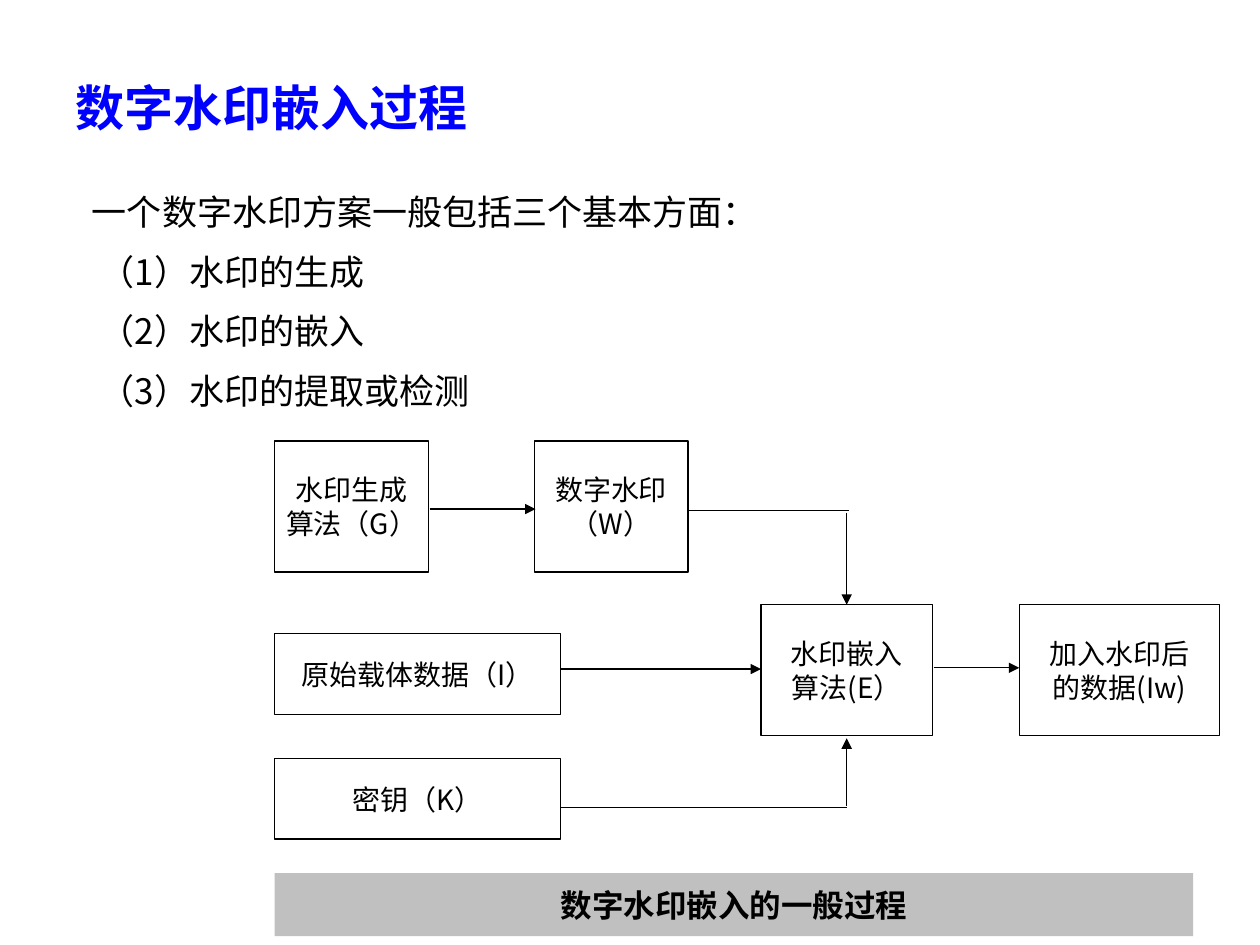
from lxml import etree
from pptx import Presentation
from pptx.dml.color import RGBColor
from pptx.enum.shapes import MSO_CONNECTOR, MSO_SHAPE
from pptx.enum.text import MSO_ANCHOR, MSO_AUTO_SIZE, PP_ALIGN
from pptx.oxml.ns import qn
from pptx.util import Inches, Pt

RECTANGLE = MSO_SHAPE.RECTANGLE
STRAIGHT = MSO_CONNECTOR.STRAIGHT
LEFT, CENTER = PP_ALIGN.LEFT, PP_ALIGN.CENTER
TOP, MIDDLE = MSO_ANCHOR.TOP, MSO_ANCHOR.MIDDLE
NO_AUTOFIT = MSO_AUTO_SIZE.NONE

BLACK = RGBColor(0, 0, 0)
WHITE = RGBColor(255, 255, 255)
BLUE = RGBColor(0, 0, 255)
GRAY = RGBColor(0xC0, 0xC0, 0xC0)
CJK_FONT = "Noto Sans CJK SC"
CAPTION_FONT = "Noto Sans"

# Content
TITLE = "数字水印嵌入过程"
BODY = [  # text, indent
    ("一个数字水印方案一般包括三个基本方面：", 0.06),
    ("（1）水印的生成", 0.12),
    ("（2）水印的嵌入", 0.12),
    ("（3）水印的提取或检测", 0.12),
]
CAPTION = "数字水印嵌入的一般过程"

LEFT_EDGE, TOP_ROW, EMBED_ROW = 2.18, 3.5, 4.8
TALL, LOW = 1.04, 0.64
BOXES = [  # text, left, top, width, height
    ("水印生成\n算法（G）", LEFT_EDGE, TOP_ROW, 1.22, TALL),
    ("数字水印\n（W）", 4.24, TOP_ROW, 1.22, TALL),
    ("原始载体数据（I）", LEFT_EDGE, 5.03, 2.27, LOW),
    ("密钥（K）", LEFT_EDGE, 6.02, 2.27, LOW),
    ("水印嵌入\n算法(E）", 6.04, EMBED_ROW, 1.36, TALL),
    ("加入水印后\n的数据(Iw)", 8.09, EMBED_ROW, 1.59, TALL),
]
EMBED_X = 6.72
LINES = [  # start, end, has arrowhead
    ((3.41, 4.04), (4.25, 4.04), True),
    ((4.45, 5.31), (6.04, 5.31), True),
    ((7.41, 5.3), (8.09, 5.3), True),
    ((5.46, 4.05), (6.74, 4.05), False),
    ((EMBED_X, 4.07), (EMBED_X, EMBED_ROW), True),
    ((4.45, 6.41), (EMBED_X, 6.41), False),
    ((EMBED_X, 6.4), (EMBED_X, 5.86), True),
]


def place(shape, left, top, width, height):
    shape.left, shape.top = Inches(left), Inches(top)
    shape.width, shape.height = Inches(width), Inches(height)


def format_text(frame, size, color=BLACK, bold=False, align=CENTER,
                font=CJK_FONT, spacing=None):
    for para in frame.paragraphs:
        para.alignment = align
        if spacing:
            para.line_spacing = spacing
        for span in para.runs:
            span.font.size = Pt(size)
            span.font.bold = bold
            span.font.color.rgb = color
            span.font.name = font
            east_asian = etree.SubElement(span.font._element, qn("a:ea"))
            east_asian.set("typeface", font)


def add_box(text, left, top, width, height, fill):
    box = slide.shapes.add_shape(RECTANGLE, Inches(left), Inches(top),
                                 Inches(width), Inches(height))
    box.shadow.inherit = False
    box.fill.solid()
    box.fill.fore_color.rgb = fill
    box.text_frame.text = text
    box.text_frame.vertical_anchor = MIDDLE
    return box


deck = Presentation()
deck.slide_width, deck.slide_height = Inches(10), Inches(7.5)
slide = deck.slides.add_slide(deck.slide_layouts[1])

# Title
title = slide.shapes.title
place(title, 0.5, 0.45, 3.36, 0.69)
frame = title.text_frame
frame.text = TITLE
frame.word_wrap = False
frame.auto_size = NO_AUTOFIT
frame.vertical_anchor = TOP
format_text(frame, 28, BLUE, True, LEFT, spacing=1.25)

# Three basic aspects
body = slide.placeholders[1]
place(body, 0.57, 1.38, 8.75, 1.89)
frame = body.text_frame
frame.text = "\n".join(text for text, indent in BODY)
frame.auto_size = NO_AUTOFIT
format_text(frame, 20, align=LEFT, spacing=1.25)
for para, (text, indent) in zip(frame.paragraphs, BODY):
    para.space_before = Pt(4)
    properties = para._p.get_or_add_pPr()
    properties.set("marL", str(Inches(indent)))
    properties.set("indent", "0")
    etree.SubElement(properties, qn("a:buNone"))

# Flow chart boxes
for text, left, top, width, height in BOXES:
    box = add_box(text, left, top, width, height, WHITE)
    box.line.color.rgb = BLACK
    box.line.width = Pt(0.75)
    frame = box.text_frame
    frame.margin_left = frame.margin_right = Inches(0.06)
    frame.margin_top = frame.margin_bottom = Inches(0.03)
    format_text(frame, 16)

# Flow chart lines and arrows
for start, end, has_arrowhead in LINES:
    line = slide.shapes.add_connector(
        STRAIGHT, *(Inches(value) for value in start + end))
    line.line.color.rgb = BLACK
    line.line.width = Pt(0.75)
    if has_arrowhead:
        arrowhead = etree.SubElement(line.line._get_or_add_ln(), qn("a:tailEnd"))
        arrowhead.set("type", "triangle")
    etree.SubElement(line._element.spPr, qn("a:effectLst"))

# Caption
caption = add_box(CAPTION, LEFT_EDGE, 6.93, 7.29, 0.5, GRAY)
caption.line.fill.background()
caption.text_frame.word_wrap = False
format_text(caption.text_frame, 18, bold=True, font=CAPTION_FONT)

deck.save("out.pptx")
